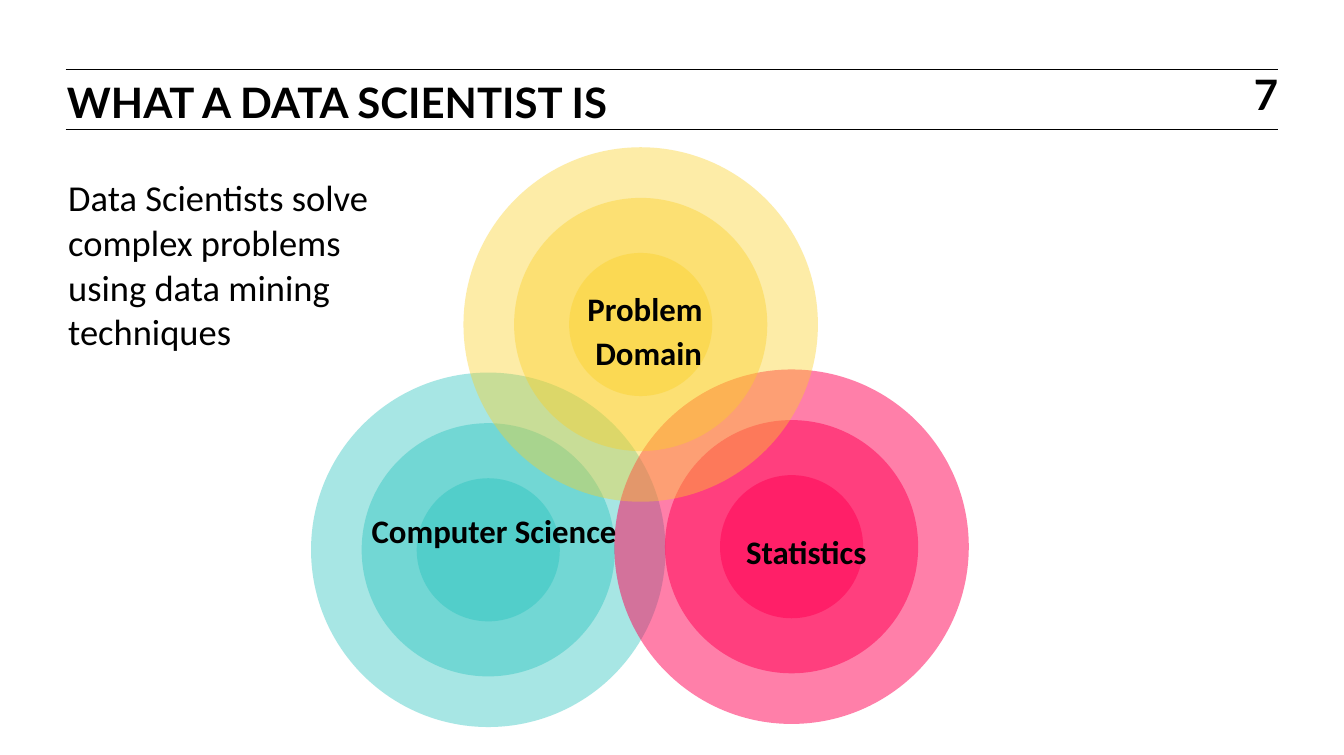
from dataclasses import dataclass

from lxml.etree import SubElement
from pptx import Presentation
from pptx.dml.color import RGBColor
from pptx.enum.shapes import MSO_CONNECTOR, MSO_SHAPE
from pptx.enum.text import MSO_ANCHOR, MSO_AUTO_SIZE, PP_ALIGN
from pptx.oxml.ns import qn
from pptx.slide import Slide
from pptx.util import Cm, Pt


@dataclass(frozen=True)
class Theme:
    ink: str = "000000"
    teal: str = "23C2BC"
    pink: str = "FF0054"
    yellow: str = "FBD025"
    heading_font: str = "Lato"
    body_font: str = "Calibri"
    heading_size: float = 23
    body_size: float = 20
    label_size: float = 18
    line_pitch: float = 24.5
    number_pitch: float = 23
    rule_width: float = 0.5


@dataclass(frozen=True)
class Area:
    """A rectangle in centimetres."""
    left: float
    top: float
    width: float
    height: float


@dataclass(frozen=True)
class TextStyle:
    font: str
    size: float
    bold: bool = False
    align: PP_ALIGN = PP_ALIGN.LEFT
    pitch: float = Theme.line_pitch


@dataclass(frozen=True)
class Field:
    """One field of knowledge, drawn as concentric discs with a label."""
    lines: tuple[str, ...]
    color: str
    opacity: int
    center_x: float
    center_y: float
    label: Area


THEME = Theme()
HEADING = TextStyle(THEME.heading_font, THEME.heading_size, bold=True)
NUMBER = TextStyle(THEME.heading_font, THEME.heading_size, True,
                   PP_ALIGN.RIGHT, THEME.number_pitch)
BODY = TextStyle(THEME.body_font, THEME.body_size)
LABEL = TextStyle(THEME.body_font, THEME.label_size, True, PP_ALIGN.CENTER)

RULE_LEFT, RULE_RIGHT = 1.27, 24.74
RULE_TOPS = (1.35, 2.51)
DISC_DIAMETERS = (6.86, 4.9, 2.77)
FIELDS = (
    Field(("Computer Science",), THEME.teal, 40, 9.45, 10.64,
          Area(6.81, 9.68, 5.51, 1.88)),
    Field(("Statistics",), THEME.pink, 50, 15.32, 10.58,
          Area(12.85, 10.08, 5.51, 1.07)),
    Field(("Problem ", "Domain"), THEME.yellow, 40, 12.4, 6.28,
          Area(9.8, 5.38, 5.51, 1.07)),
)


def apply(target: object, values: dict) -> None:
    for name, value in values.items():
        setattr(target, name, value)


def place(area: Area) -> dict:
    return {"left": Cm(area.left), "top": Cm(area.top),
            "width": Cm(area.width), "height": Cm(area.height)}


def write(frame, lines: tuple[str, ...], style: TextStyle) -> None:
    for index, line in enumerate(lines):
        para = frame.add_paragraph() if index else frame.paragraphs[0]
        apply(para, {"alignment": style.align, "line_spacing": Pt(style.pitch)})
        span = para.add_run()
        span.text = line
        apply(span.font, {"name": style.font, "size": Pt(style.size),
                          "bold": style.bold})
        span.font.color.rgb = RGBColor.from_string(THEME.ink)


def add_text(page: Slide, area: Area, lines: tuple[str, ...],
             style: TextStyle, **frame_format) -> None:
    frame = page.shapes.add_textbox(**place(area)).text_frame
    apply(frame, {"word_wrap": True,
                  "margin_left": Cm(0.18), "margin_right": Cm(0.18),
                  "margin_top": Cm(0.1), "margin_bottom": Cm(0.1),
                  **frame_format})
    write(frame, lines, style)


def add_title(page: Slide, text: str) -> None:
    title = page.shapes.title
    apply(title, place(Area(1.04, 1.47, 17.78, 0.84)))
    apply(title.text_frame, {"vertical_anchor": MSO_ANCHOR.TOP,
                             "auto_size": MSO_AUTO_SIZE.NONE})
    write(title.text_frame, (text,), HEADING)


def add_rule(page: Slide, top: float) -> None:
    rule = page.shapes.add_connector(MSO_CONNECTOR.STRAIGHT, Cm(RULE_LEFT),
                                     Cm(top), Cm(RULE_RIGHT), Cm(top))
    rule.line.width = Pt(THEME.rule_width)
    rule.line.color.rgb = RGBColor.from_string(THEME.ink)
    SubElement(rule._element.spPr, qn("a:effectLst"))


def add_disc(page: Slide, field: Field, diameter: float) -> None:
    area = Area(field.center_x - diameter / 2, field.center_y - diameter / 2,
                diameter, diameter)
    disc = page.shapes.add_shape(MSO_SHAPE.OVAL, **place(area))
    disc.shadow.inherit = False
    disc.line.fill.background()
    disc.fill.solid()
    disc.fill.fore_color.rgb = RGBColor.from_string(field.color)
    color = disc._element.spPr.find(f"{qn('a:solidFill')}/{qn('a:srgbClr')}")
    SubElement(color, qn("a:alpha"), val=str(field.opacity * 1000))


def add_field(page: Slide, field: Field) -> None:
    for diameter in DISC_DIAMETERS:
        add_disc(page, field, diameter)
    add_text(page, field.label, field.lines, LABEL)


def main() -> None:
    deck = Presentation()
    apply(deck, {"slide_width": Cm(26.01), "slide_height": Cm(14.61)})
    page = deck.slides.add_slide(deck.slide_layouts.get_by_name("Title Only"))

    for top in RULE_TOPS:
        add_rule(page, top)
    add_title(page, "WHAT A DATA SCIENTIST IS")
    add_text(page, Area(24.03, 1.47, 0.71, 0.86), ("7",), NUMBER,
             word_wrap=False, margin_right=0, vertical_anchor=MSO_ANCHOR.MIDDLE)
    add_text(page, Area(1.14, 3.28, 7.82, 5.97),
             ("Data Scientists solve", "complex problems",
              "using data mining techniques"), BODY)
    for field in FIELDS:
        add_field(page, field)

    deck.save("out.pptx")


if __name__ == "__main__":
    main()
